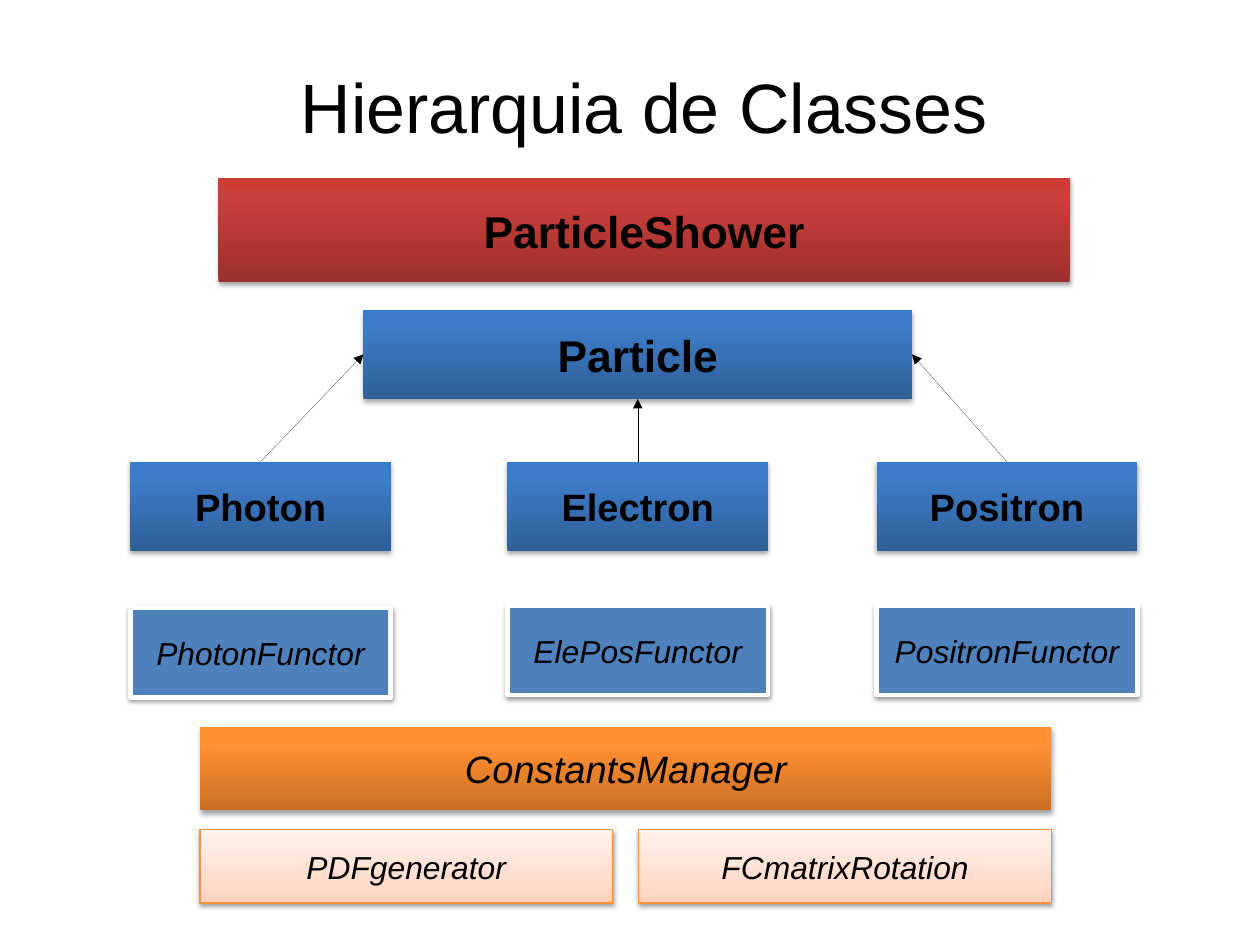
from copy import deepcopy

from lxml import etree
from pptx import Presentation
from pptx.dml.color import RGBColor
from pptx.enum.shapes import MSO_CONNECTOR, MSO_SHAPE
from pptx.enum.text import MSO_ANCHOR, PP_ALIGN
from pptx.oxml.ns import qn
from pptx.util import Inches, Pt

RECT = MSO_SHAPE.RECTANGLE
LINE = MSO_CONNECTOR.STRAIGHT
MIDDLE = MSO_ANCHOR.MIDDLE
CENTER = PP_ALIGN.CENTER
TOP, LEFT, BOTTOM, RIGHT = range(4)  # connection sites of a rectangle

FONT = "Arial"
COLORS = {
    "black": "000000", "white": "FFFFFF", "steel": "4F81BD", "edge": "F69240",
    "blue0": "2F5F99", "blue1": "3D7CC7", "blue2": "3A7CCB",
    "red0": "9C2F2D", "red1": "CB3E3A", "red2": "CE3B37",
    "gold0": "CC6E20", "gold1": "FF9034", "gold2": "FF9136",
    "peach0": "FFD2BD", "peach1": "FFDED0", "peach2": "FFF2ED",
}
# Each style: fill, middle stop of its gradient, line, shadow (alpha, distance)
STYLES = {
    "blue": ("blue", 0.8, None, (35, 1.8)),
    "red": ("red", 0.8, None, (35, 1.8)),
    "gold": ("gold", 0.8, None, (35, 1.8)),
    "peach": ("peach", 0.35, ("edge", 0.75), (38, 1.6)),
    "steel": ("steel", None, ("white", 3), (38, 1.6)),
}


def rgb(name):
    return RGBColor.from_string(COLORS[name])


def write(frame, text, size, bold=False, italic=False):
    frame.vertical_anchor = MIDDLE
    para = frame.paragraphs[0]
    para.alignment = CENTER
    run = para.add_run()
    run.text = text
    font = run.font
    font.name, font.size = FONT, Pt(size)
    font.bold, font.italic = bold, italic
    font.color.rgb = rgb("black")


def shade(shape, name, mid):
    """Fill with three stops that run from bottom to top."""
    fill = shape.fill
    fill.gradient()
    fill.gradient_angle = 90
    stops = shape.element.spPr.find(qn("a:gradFill")).find(qn("a:gsLst"))
    stops.insert(1, deepcopy(stops[0]))
    for i, (stop, place) in enumerate(zip(fill.gradient_stops, (0, mid, 1))):
        stop.position = place
        stop.color.rgb = rgb(f"{name}{i}")


def drop(shape, alpha, dist):
    """Cast a soft shadow straight down."""
    shape.shadow.inherit = False
    effects = shape.element.spPr.find(qn("a:effectLst"))
    outer = etree.SubElement(effects, qn("a:outerShdw"), blurRad=str(Pt(3.1)),
                             dist=str(Pt(dist)), dir="5400000", rotWithShape="0")
    color = etree.SubElement(outer, qn("a:srgbClr"), val=COLORS["black"])
    etree.SubElement(color, qn("a:alpha"), val=str(alpha * 1000))


def add_block(slide, box, style, text, size, bold=False):
    """Class names are bold, helper names are italic."""
    name, mid, edge, cast = STYLES[style]
    shape = slide.shapes.add_shape(RECT, *map(Inches, box))
    if mid is None:
        shape.fill.solid()
        shape.fill.fore_color.rgb = rgb(name)
    else:
        shade(shape, name, mid)
    if edge:
        shape.line.color.rgb = rgb(edge[0])
        shape.line.width = Pt(edge[1])
    else:
        shape.line.fill.background()
    drop(shape, *cast)
    shape.text_frame.word_wrap = False
    write(shape.text_frame, text, size, bold, not bold)
    return shape


def add_arrow(slide, start, end, site):
    """Hairline arrow, free of the theme's line style."""
    line = slide.shapes.add_connector(LINE, 0, 0, 0, 0)
    line.begin_connect(start, TOP)
    line.end_connect(end, site)
    line.line.color.rgb = rgb("black")
    node = line.element
    node.remove(node.find(qn("p:style")))
    etree.SubElement(node.spPr.find(qn("a:ln")), qn("a:tailEnd"), type="triangle")
    etree.SubElement(node.spPr, qn("a:effectLst"))


def add_title(slide, box, text):
    title = slide.shapes.title
    title.left, title.top, title.width, title.height = map(Inches, box)
    frame = title.text_frame
    frame.margin_left = frame.margin_right = 0
    frame.margin_top = frame.margin_bottom = 0
    frame.word_wrap = True
    write(frame, text, 44)


def add_tree(slide, box):
    """Base class, its three children and their functors."""
    x, y, wide, high = box
    tall, child = 0.78, 2.28
    base = add_block(slide, (x + 2.04, y, 4.8, tall), "blue", "Particle", 28, True)
    kids = (
        (0, "Photon", "PhotonFunctor", 0.02, LEFT),
        (3.3, "Electron", "ElePosFunctor", 0, BOTTOM),
        (wide - child, "Positron", "PositronFunctor", 0, RIGHT),
    )
    for dx, name, functor, dy, site in kids:
        kid = add_block(slide, (x + dx, y + 1.33, child, tall), "blue", name, 24, True)
        low = y + high - tall + dy
        add_block(slide, (x + dx, low, child, tall), "steel", functor, 20)
        add_arrow(slide, kid, base, site)


def add_tools(slide, box):
    """Manager bar above two equal helper blocks."""
    x, y, wide, high = box
    half, tall = 3.61, 0.64
    add_block(slide, (x, y, wide, 0.73), "gold", "ConstantsManager", 24)
    for dx, name in ((0, "PDFgenerator"), (wide - half, "FCmatrixRotation")):
        add_block(slide, (x + dx, y + high - tall, half, tall), "peach", name, 20)


def main():
    deck = Presentation()
    # 28 by 21 cm page, in whole quarter points
    deck.slide_width, deck.slide_height = Pt(793.75), Pt(595.25)
    slide = deck.slides.add_slide(deck.slide_layouts[5])
    add_title(slide, (0.68, 0.23, 9.92, 1.38), "Hierarquia de Classes")
    add_block(slide, (1.91, 1.56, 7.45, 0.91), "red", "ParticleShower", 28, True)
    add_tree(slide, (1.14, 2.71, 8.81, 3.37))
    add_tools(slide, (1.75, 6.36, 7.45, 1.54))
    deck.save("out.pptx")


if __name__ == "__main__":
    main()
